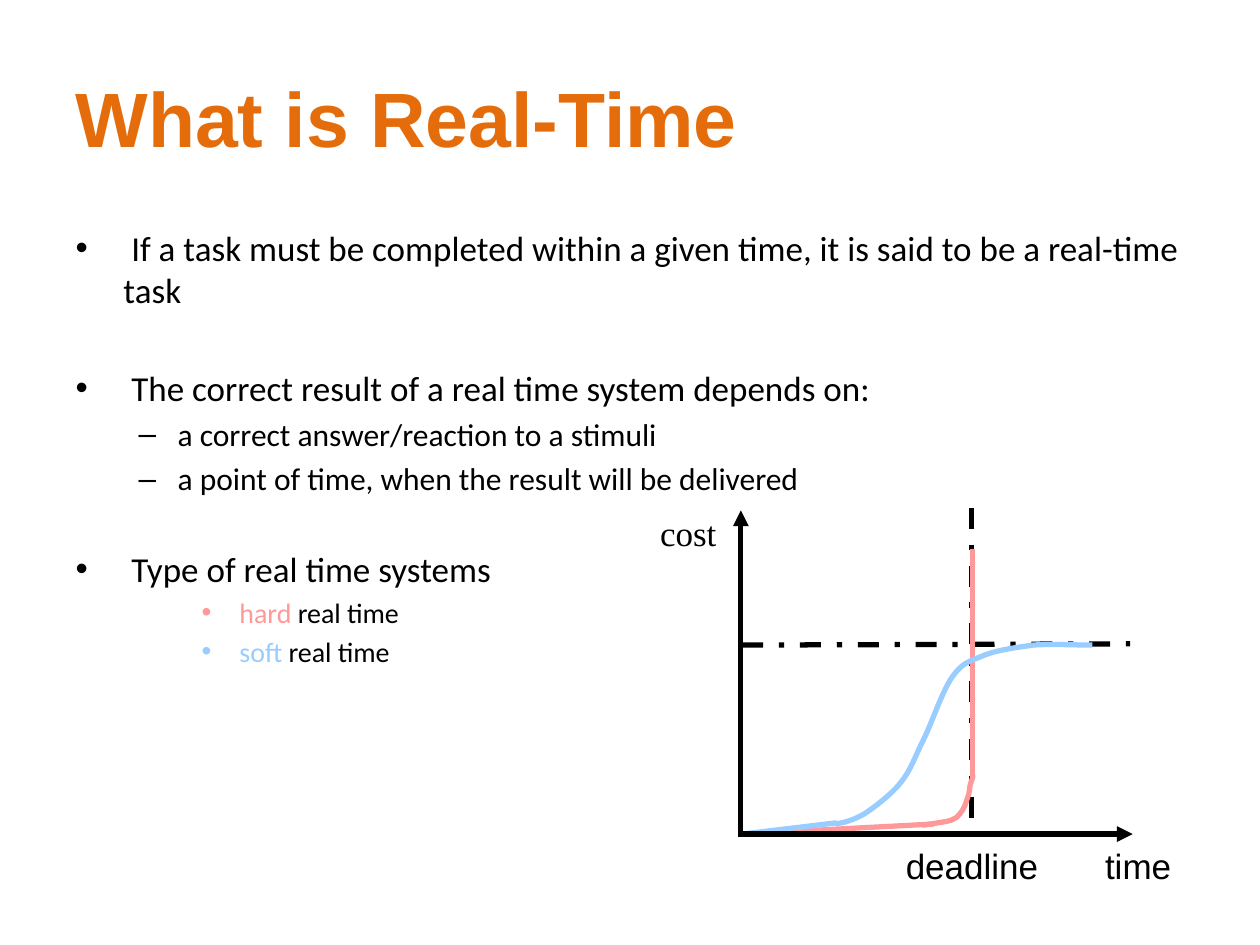
from dataclasses import dataclass

from pptx import Presentation
from pptx import util as u
from pptx.dml.color import RGBColor
from pptx.enum import dml, shapes, text
from pptx.oxml.ns import qn
from lxml import etree

PX = 9144  # EMU per px, 100 px to the inch
BLACK, ORANGE, HARD, SOFT = "000000", "E46C0A", "FF9999", "99CCFF"
CURVE_STEPS = 12
INDENTS = [(38, -38), (81, -31), (125, -25)]  # margin and hang by level
SIZES = [20, 18, 16]

Point = tuple[float, float]


@dataclass
class Bullet:
    level: int
    runs: list[tuple[str, str]]
    before: float


@dataclass
class Stroke:
    start: Point
    end: Point
    color: str = BLACK
    dashed: bool = False
    arrow: bool = False


@dataclass
class Label:
    words: str
    box: tuple[int, int, int, int]
    font: str = "Arial"
    inset: int = 0
    align: text.PP_ALIGN = text.PP_ALIGN.LEFT


def px(value: float) -> int:
    return round(value * PX)


def rgb(color: str) -> RGBColor:
    return RGBColor.from_string(color)


def place(shape, left: int, top: int, width: int, height: int) -> None:
    shape.left, shape.top = px(left), px(top)
    shape.width, shape.height = px(width), px(height)


def style(font, name: str, size: int, color: str, bold: bool = False) -> None:
    font.name, font.size, font.bold = name, u.Pt(size), bold
    font.color.rgb = rgb(color)


def write_bullets(frame, bullets: list[Bullet]) -> None:
    frame.auto_size = text.MSO_AUTO_SIZE.NONE
    for index, bullet in enumerate(bullets):
        paragraph = frame.add_paragraph() if index else frame.paragraphs[0]
        paragraph.level = bullet.level
        margin, hang = INDENTS[bullet.level]
        properties = paragraph._p.get_or_add_pPr()
        properties.set("marL", str(px(margin)))
        properties.set("indent", str(px(hang)))
        paragraph.space_before = u.Pt(bullet.before)
        for words, color in bullet.runs:
            run = paragraph.add_run()
            run.text = words
            style(run.font, "Calibri", SIZES[bullet.level], color)


def draw_stroke(slide, stroke: Stroke) -> None:
    line = slide.shapes.add_connector(
        shapes.MSO_CONNECTOR.STRAIGHT, *map(px, stroke.start + stroke.end))
    line.line.color.rgb = rgb(stroke.color)
    line.line.width = u.Pt(3)
    if stroke.dashed:
        line.line.dash_style = dml.MSO_LINE.DASH_DOT
    if stroke.arrow:
        etree.SubElement(line.line._get_or_add_ln(), qn("a:tailEnd"), type="triangle")
    etree.SubElement(line._element.spPr, qn("a:effectLst"))


def draw_curve(slide, points: list[Point], color: str) -> None:
    scaled = [(px(x), px(y)) for x, y in points]
    builder = slide.shapes.build_freeform(*scaled[0])
    builder.add_line_segments(scaled[1:], close=False)
    curve = builder.convert_to_shape()
    curve.fill.background()
    curve.line.color.rgb = rgb(color)
    curve.line.width = u.Pt(3)
    curve.shadow.inherit = False


def bezier(knots: list[Point]) -> list[Point]:
    """Sample cubic segments: a start, then two controls and an end for each."""
    points = [knots[0]]
    for first in range(0, len(knots) - 1, 3):
        segment = knots[first:first + 4]
        for step in range(1, CURVE_STEPS + 1):
            t = step / CURVE_STEPS
            weights = ((1 - t) ** 3, 3 * t * (1 - t) ** 2, 3 * t * t * (1 - t), t ** 3)
            points.append(tuple(
                sum(w * knot[axis] for w, knot in zip(weights, segment))
                for axis in (0, 1)))
    return points


def draw_label(slide, label: Label) -> None:
    box = slide.shapes.add_textbox(*map(px, label.box))
    frame = box.text_frame
    frame.word_wrap = True
    frame.margin_left = frame.margin_right = px(label.inset)
    frame.text = label.words
    frame.paragraphs[0].alignment = label.align
    style(frame.paragraphs[0].runs[0].font, label.font, 20, BLACK)


BULLETS = [
    Bullet(0, [(" If a task must be completed within a given time, "
                "it is said to be a real-time task", BLACK)], 0),
    Bullet(0, [(" The correct result of a real time system depends on:", BLACK)], 32),
    Bullet(1, [("a correct answer/reaction to a stimuli", BLACK)], 3.6),
    Bullet(1, [("a point of time, when the result will be delivered", BLACK)], 3.6),
    Bullet(0, [(" Type of real time systems", BLACK)], 29),
    Bullet(2, [(" hard", HARD), (" real time", BLACK)], 3.2),
    Bullet(2, [(" soft", SOFT), (" real time", BLACK)], 3.2),
]

COST_AXIS = Stroke((588, 664), (588, 405), arrow=True)
TIME_AXIS = Stroke((588, 662), (899, 662), arrow=True)
DEADLINE = Stroke((771, 403), (771, 662), dashed=True)
COST_LIMIT = Stroke((589, 512), (897, 511), dashed=True)
HARD_START = Stroke((589, 662), (741, 654), HARD)
HARD_JUMP = Stroke((772, 436), (772, 615), HARD)
SOFT_START = Stroke((589, 662), (664, 653), SOFT)

HARD_BEND = [(732, 655), (739, 654), (745, 653), (751, 652), (755, 651), (759, 649),
             (761, 647), (764, 643), (766, 639), (768, 633), (769, 630), (770, 623),
             (772, 617), (772, 615)]
SOFT_BEND = [(663, 654), (670, 653), (677, 651), (686, 646),
             (695, 640), (708, 630), (715, 621), (723, 611), (726, 601), (733, 587),
             (740, 573), (748, 548), (756, 537), (764, 526), (769, 525), (779, 521),
             (790, 516), (806, 514), (820, 512), (835, 511), (851, 512), (867, 512)]

LABELS = [
    Label("time", (877, 665, 58, 43)),
    Label("cost", (514, 401, 81, 43), "Times New Roman", 10),
    Label("deadline", (713, 665, 117, 43), align=text.PP_ALIGN.CENTER),
]


def main() -> None:
    deck = Presentation()
    deck.slide_width, deck.slide_height = px(1000), px(750)
    slide = deck.slides.add_slide(deck.slide_layouts[1])

    # Title and list
    title, body = slide.placeholders
    place(title, 50, 30, 749, 125)
    title.text_frame.text = "What is Real-Time"
    title.text_frame.vertical_anchor = text.MSO_ANCHOR.MIDDLE
    heading = title.text_frame.paragraphs[0]
    heading.alignment = text.PP_ALIGN.LEFT
    style(heading.runs[0].font, "Arial", 44, ORANGE, bold=True)
    place(body, 50, 175, 900, 495)
    write_bullets(body.text_frame, BULLETS)

    # Cost over time: guides, then hard and soft curves, then the time axis
    for stroke in (COST_AXIS, DEADLINE, COST_LIMIT, HARD_START, HARD_JUMP):
        draw_stroke(slide, stroke)
    draw_curve(slide, HARD_BEND, HARD)
    draw_stroke(slide, SOFT_START)
    draw_curve(slide, bezier(SOFT_BEND), SOFT)
    draw_stroke(slide, TIME_AXIS)
    for label in LABELS:
        draw_label(slide, label)

    deck.save("out.pptx")


if __name__ == "__main__":
    main()
